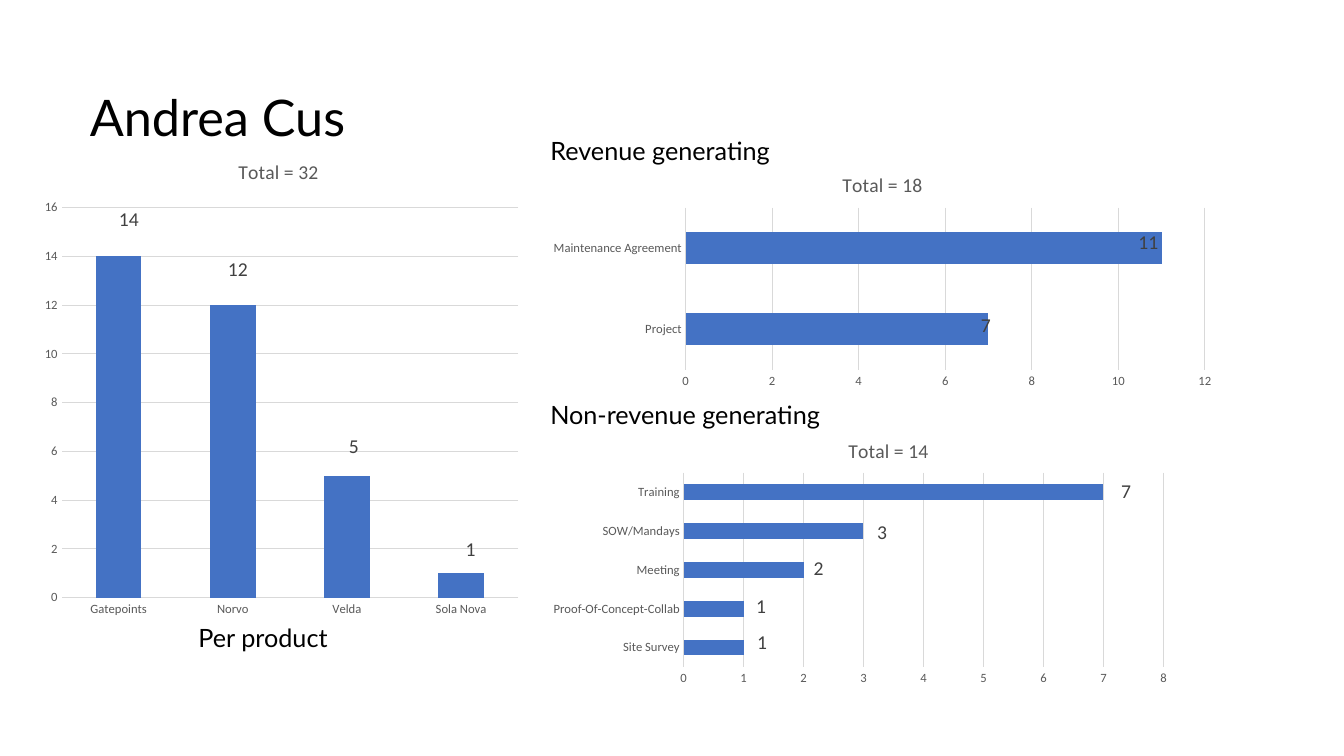
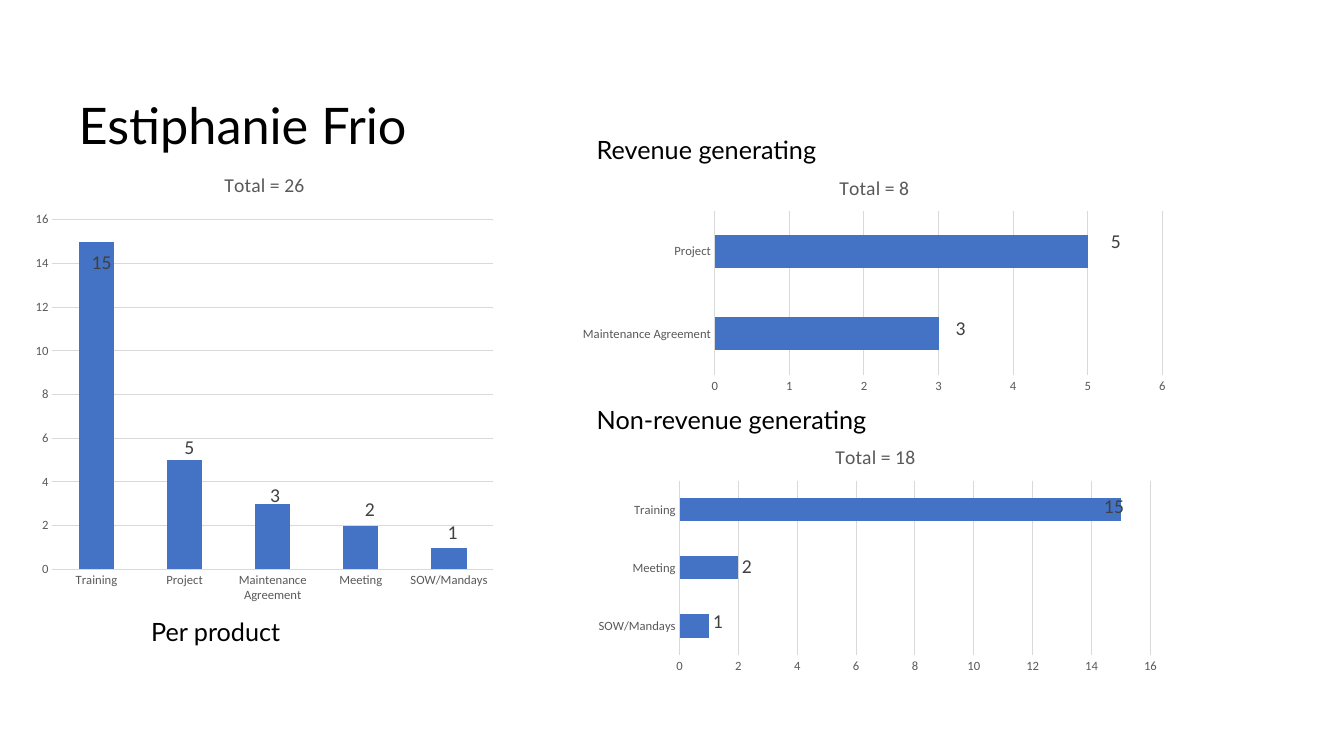
from lxml import etree
from pptx import Presentation
from pptx import util as u
from pptx.chart.data import CategoryChartData
from pptx.dml.color import RGBColor
from pptx.enum import chart as kinds, text
from pptx.oxml.ns import qn

BLACK = RGBColor(0x00, 0x00, 0x00)
DARK = RGBColor(0x40, 0x40, 0x40)
GREY = RGBColor(0x59, 0x59, 0x59)
PALE = RGBColor(0xD9, 0xD9, 0xD9)
BLUE = RGBColor(0x44, 0x72, 0xC4)

HEAD = dict(name="Lato", size=u.Pt(36), color=BLACK, bold=False)
SUB = dict(HEAD, size=u.Pt(18))
BASE = dict(name="Calibri", size=u.Pt(10), color=BLACK, bold=False)
AXIS = dict(BASE, size=u.Pt(9), color=GREY)
TOTAL = dict(AXIS, size=u.Pt(14))
LABEL = dict(TOTAL, color=DARK)
FRAME = dict(word_wrap=False, vertical_anchor=text.MSO_ANCHOR.TOP,
             auto_size=text.MSO_AUTO_SIZE.SHAPE_TO_FIT_TEXT)
TICKS = dict(major_tick_mark=kinds.XL_TICK_MARK.NONE,
             minor_tick_mark=kinds.XL_TICK_MARK.NONE)

COLUMN = kinds.XL_CHART_TYPE.COLUMN_STACKED
BAR = kinds.XL_CHART_TYPE.BAR_STACKED

C15 = "http://schemas.microsoft.com/office/drawing/2012/chart"
EXT = "{CE6537A1-D6FC-4f65-9D91-7224C49458BB}"

PAGES = [
    dict(
        name="Andrea Cus", spot=(0.79, 0.8, 2.94, 0.71),
        notes=[("Per product", (1.87, 6.12, 1.58, 0.4)),
               ("Revenue generating", (5.36, 1.29, 2.61, 0.4)),
               ("Non-revenue generating", (5.36, 3.91, 3.14, 0.4))],
        charts=[
            dict(kind=BAR, box=(5.36, 1.56, 6.8, 2.34), plot=(6.8, 2.06, 5.15, 1.61),
                 top=12, step=2, total="Total = 18", spot=(8.32, 1.66),
                 rows=[("Project", 7, 9.78, 3.23),
                       ("Maintenance Agreement", 11, 11.39, 2.41)]),
            dict(kind=COLUMN, box=(0.34, 1.39, 4.9, 4.82), plot=(0.61, 2.06, 4.53, 3.87),
                 top=16, step=2, total="Total = 32", spot=(2.33, 1.53),
                 rows=[("Gatepoints", 14, 1.28, 2.18), ("Norvo", 12, 2.36, 2.68),
                       ("Velda", 5, 3.51, 4.43), ("Sola Nova", 1, 4.67, 5.45)]),
            dict(kind=BAR, box=(5.36, 4.18, 6.34, 2.68), plot=(6.78, 4.69, 4.76, 1.93),
                 top=8, step=1, total="Total = 14", spot=(8.38, 4.3),
                 rows=[("Site Survey", 1, 7.56, 6.38),
                       ("Proof-Of-Concept-Collab", 1, 7.55, 6.02),
                       ("Meeting", 2, 8.12, 5.64), ("SOW/Mandays", 3, 8.75, 5.29),
                       ("Training", 7, 11.17, 4.88)]),
        ]),
    dict(
        name="Estiphanie Frio", spot=(0.68, 0.88, 3.81, 0.71),
        notes=[("Per product", (1.4, 6.07, 1.58, 0.4)),
               ("Revenue generating", (5.82, 1.28, 2.61, 0.4)),
               ("Non-revenue generating", (5.82, 3.96, 3.14, 0.4))],
        charts=[
            dict(kind=COLUMN, box=(0.25, 1.52, 4.74, 4.55), plot=(0.52, 2.18, 4.37, 3.47),
                 top=16, step=2, total="Total = 26", spot=(2.19, 1.66),
                 rows=[("Training", 15, 1.01, 2.61), ("Project", 5, 1.88, 4.44),
                       ("Maintenance Agreement", 3, 2.73, 4.92),
                       ("Meeting", 2, 3.67, 5.06), ("SOW/Mandays", 1, 4.49, 5.28)]),
            dict(kind=BAR, box=(5.66, 1.59, 6.02, 2.37), plot=(7.09, 2.09, 4.44, 1.63),
                 top=6, step=1, total="Total = 8", spot=(8.29, 1.69),
                 rows=[("Maintenance Agreement", 3, 9.53, 3.26),
                       ("Project", 5, 11.07, 2.4)]),
            dict(kind=BAR, box=(5.82, 4.26, 5.77, 2.47), plot=(6.74, 4.77, 4.67, 1.73),
                 top=16, step=2, total="Total = 18", spot=(8.25, 4.36),
                 rows=[("SOW/Mandays", 1, 7.12, 6.17), ("Meeting", 2, 7.41, 5.62),
                       ("Training", 15, 11.05, 5.03)]),
        ]),
]


def apply(item, look):
    for key, val in look.items():
        setattr(item, key, val)


def style(font, look):
    for key, val in look.items():
        if key == "color":
            font.color.rgb = val
        else:
            setattr(font, key, val)


def inches(box):
    return [u.Inches(n) for n in box]


def write(shape, words, look):
    frame = shape.text_frame
    apply(frame, FRAME)
    par = frame.paragraphs[0]
    par.alignment = text.PP_ALIGN.LEFT
    run = par.add_run()
    run.text = words
    style(run.font, look)


def add_title(slide, words, box):
    title = slide.shapes.title
    apply(title, dict(zip(("left", "top", "width", "height"), inches(box))))
    write(title, words, HEAD)


def add_note(slide, words, box):
    write(slide.shapes.add_textbox(*inches(box)), words, SUB)


def place(node, index, **vals):
    for old in node.findall(qn("c:layout")):
        node.remove(old)
    layout = etree.Element(qn("c:layout"))
    manual = etree.SubElement(layout, qn("c:manualLayout"))
    for key, val in vals.items():
        part = etree.SubElement(manual, qn("c:" + key))
        part.set("val", val if isinstance(val, str) else f"{val:.4f}")
    node.insert(index, layout)


def share(box, x, y):
    left, top, width, height = box
    return dict(x=(x - left) / width, y=(y - top) / height)


def centre(item, index, val):
    left, top, width, height = item["plot"]
    part = (index + 0.5) / len(item["rows"])
    half = val / item["top"] / 2
    if item["kind"] == COLUMN:
        return left + width * part, top + height * (1 - half)
    return left + width * half, top + height * (1 - part)


def set_axes(chart, item):
    for axis in (chart.category_axis, chart.value_axis):
        apply(axis, TICKS)
        style(axis.tick_labels.font, AXIS)
        axis.format.line.fill.background()
    chart.category_axis.has_major_gridlines = False
    apply(chart.value_axis, dict(minimum_scale=0, maximum_scale=item["top"],
                                 major_unit=item["step"], has_major_gridlines=True))
    line = chart.value_axis.major_gridlines.format.line
    line.color.rgb = PALE
    line.width = u.Pt(0.75)


def hide_leads(node):
    for old in node.findall(qn("c:showLeaderLines")):
        node.remove(old)
    etree.SubElement(node, qn("c:showLeaderLines")).set("val", "0")
    group = etree.SubElement(node, qn("c:extLst"))
    ext = etree.SubElement(group, qn("c:ext"), nsmap={"c15": C15})
    ext.set("uri", EXT)
    etree.SubElement(ext, f"{{{C15}}}showLeaderLines").set("val", "0")


def set_labels(series, item):
    labels = series.data_labels
    labels.show_value = True
    style(labels.font, LABEL)
    for i in range(len(item["rows"])):
        style(series.points[i].data_label.font, LABEL)
    nodes = labels._element.findall(qn("c:dLbl"))
    width, height = item["box"][2:]
    for i, (node, row) in enumerate(zip(nodes, item["rows"])):
        val, x, y = row[1:]
        mid, level = centre(item, i, val)
        place(node, 1, x=(x - mid) / width, y=(y - level) / height)
    hide_leads(labels._element)


def add_graph(slide, item):
    data = CategoryChartData()
    data.categories = [row[0] for row in item["rows"]]
    data.add_series("Series 1", [row[1] for row in item["rows"]])
    box = item["box"]
    chart = slide.shapes.add_chart(item["kind"], *inches(box), data).chart
    chart.has_legend = False
    style(chart.font, BASE)

    frame = chart.chart_title.text_frame
    frame.text = item["total"]
    style(frame.paragraphs[0].runs[0].font, TOTAL)
    edge = dict(xMode="edge", yMode="edge")
    place(chart.chart_title._element, 1, **edge, **share(box, *item["spot"]))

    left, top, width, height = item["plot"]
    area = chart._chartSpace.chart.plotArea
    place(area, 0, layoutTarget="inner", **edge, **share(box, left, top),
          w=width / box[2], h=height / box[3])

    set_axes(chart, item)
    plot = chart.plots[0]
    apply(plot, dict(gap_width=150, overlap=100, vary_by_categories=False))
    series = plot.series[0]
    series.format.fill.solid()
    series.format.fill.fore_color.rgb = BLUE
    set_labels(series, item)


def main():
    deck = Presentation()
    apply(deck, dict(slide_width=u.Inches(13.33), slide_height=u.Inches(7.5)))
    for page in PAGES:
        slide = deck.slides.add_slide(deck.slide_layouts[5])
        add_title(slide, page["name"], page["spot"])
        for words, box in page["notes"]:
            add_note(slide, words, box)
        for item in page["charts"]:
            add_graph(slide, item)
    deck.save("out.pptx")


if __name__ == "__main__":
    main()
